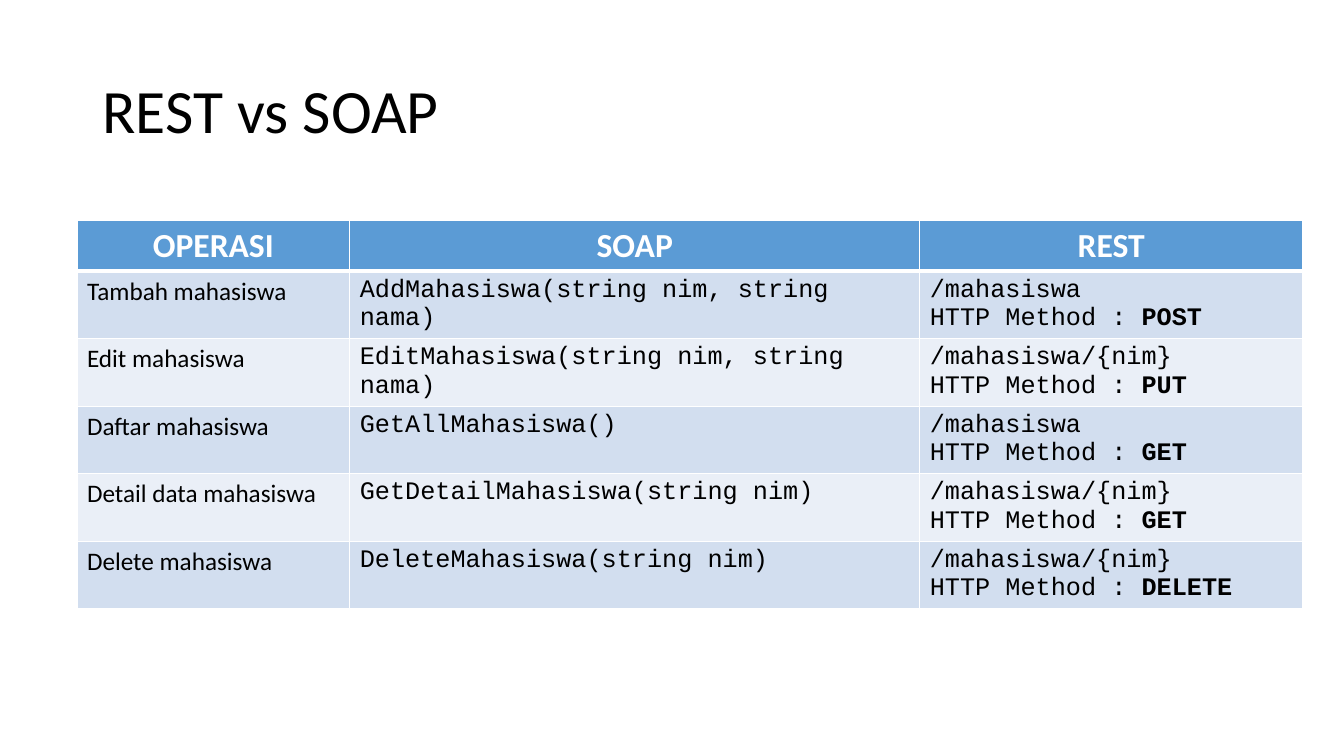
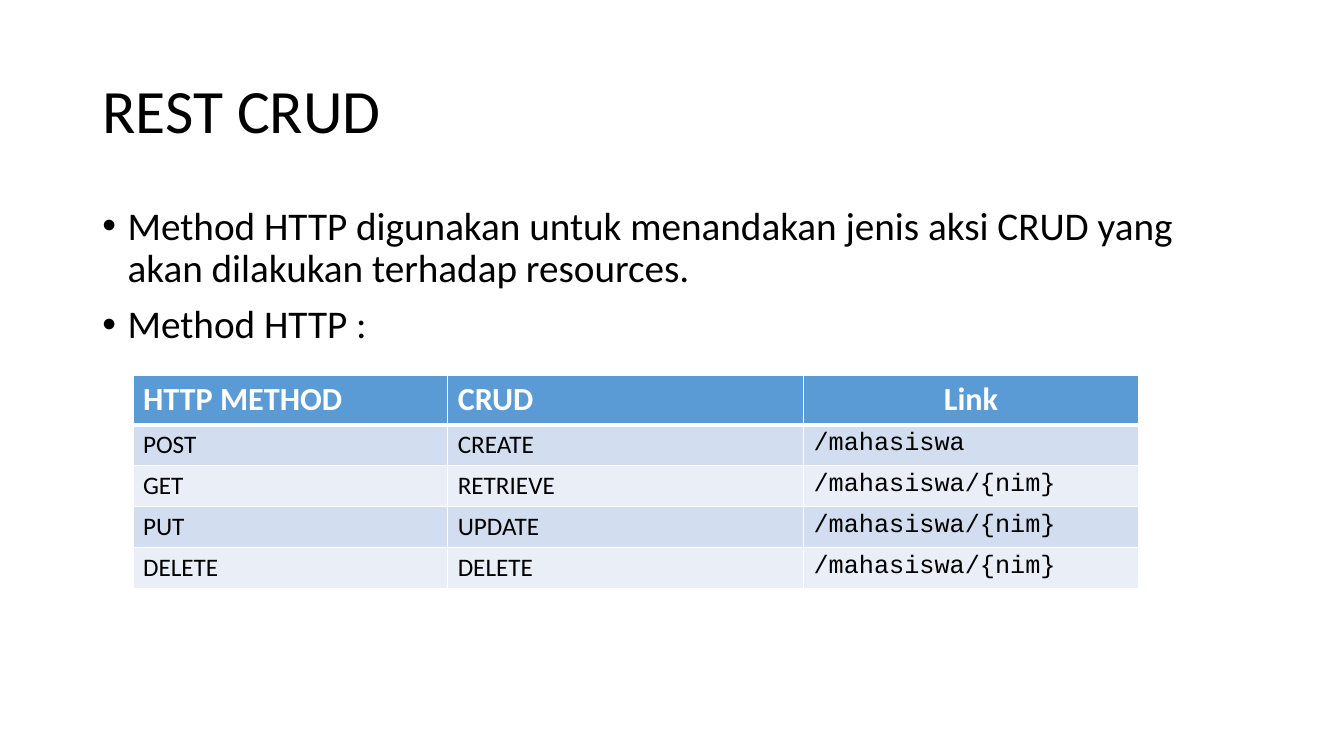
import pptx
import pptx.util
import pptx.dml.color
import pptx.enum.text
import pptx.oxml

Pt = pptx.util.Pt
RGBColor = pptx.dml.color.RGBColor
PP_ALIGN = pptx.enum.text.PP_ALIGN
MSO_ANCHOR = pptx.enum.text.MSO_ANCHOR

# Shared colours, fonts and boxes (left, top, width, height in points)
BLACK = RGBColor(0x00, 0x00, 0x00)
WHITE = RGBColor(0xFF, 0xFF, 0xFF)
BLUE = RGBColor(0x5B, 0x9B, 0xD5)
BANDS = (RGBColor(0xD2, 0xDE, 0xEF), RGBColor(0xEA, 0xEF, 0xF7))
SANS, MONO = "Calibri", "Courier New"
TITLE_BOX = (66, 28.75, 828, 104.4)
BODY_BOX = (66, 143.75, 828, 342.6)

TITLE_FONT = {"name": SANS, "size": Pt(44), "bold": False}
BODY_FONT = {"name": SANS, "size": Pt(28), "bold": False}
CELL_FONT = {"name": SANS, "size": Pt(18), "bold": False}
CODE_FONT = {**CELL_FONT, "name": MONO}
HEAD_FONT = {"name": SANS, "bold": True}
TITLE_PARA = {"alignment": PP_ALIGN.LEFT, "line_spacing": 0.9}
BODY_PARA = {"alignment": PP_ALIGN.LEFT, "line_spacing": 0.9,
             "space_before": Pt(10)}


def apply(obj, values):
    for name, value in values.items():
        setattr(obj, name, value)


def add_run(p, text, font, color):
    r = p.add_run()
    r.text = text
    apply(r.font, font)
    r.font.color.rgb = color


def place(sp, box, anchor):
    names = ("left", "top", "width", "height")
    apply(sp, dict(zip(names, map(Pt, box))))
    apply(sp.text_frame, {"word_wrap": True, "vertical_anchor": anchor,
                          "auto_size": pptx.enum.text.MSO_AUTO_SIZE.NONE})


def add_title(slide, text, box):
    sp = slide.shapes.title
    place(sp, box, MSO_ANCHOR.MIDDLE)
    p = sp.text_frame.paragraphs[0]
    apply(p, TITLE_PARA)
    add_run(p, text, TITLE_FONT, BLACK)


def add_bullets(slide, items, box):
    sp = slide.placeholders[1]
    place(sp, box, MSO_ANCHOR.TOP)
    tf = sp.text_frame
    for i, item in enumerate(items):
        p = tf.add_paragraph() if i else tf.paragraphs[0]
        apply(p, BODY_PARA)
        pPr = p._p.get_or_add_pPr()
        pPr.set("marL", str(Pt(18)))
        pPr.set("indent", str(-Pt(18)))
        add_run(p, item, BODY_FONT, BLACK)


def set_borders(cell, widths):
    # Cell lines come before the fill in the cell properties
    tcPr = cell._tc.get_or_add_tcPr()
    for i, (side, width) in enumerate(widths.items()):
        tcPr.insert(i, pptx.oxml.parse_xml(
            '<a:ln%s xmlns:a="http://schemas.openxmlformats.org/drawingml/2006/main"'
            ' w="%d"><a:solidFill><a:srgbClr val="%s"/></a:solidFill></a:ln%s>'
            % (side, Pt(width), WHITE, side)))


def fill_cell(cell, lines, font, color, fill, align):
    """Each line is a list of (text, bold) parts."""
    tf = cell.text_frame
    for i, line in enumerate(lines):
        p = tf.add_paragraph() if i else tf.paragraphs[0]
        p.alignment = align
        for text, bold in line:
            add_run(p, text, {**font, "bold": bold}, color)
    cell.fill.solid()
    cell.fill.fore_color.rgb = fill


def add_grid(slide, left, top, widths, heights, head, head_size, aligns, fonts, rows):
    """Table with a blue header; heights are (header row, body row)."""
    row_heights = [heights[0]] + [heights[1]] * len(rows)
    frame = slide.shapes.add_table(len(row_heights), len(widths), Pt(left), Pt(top),
                                   Pt(sum(widths)), Pt(sum(row_heights)))
    table = frame.table
    table.horz_banding = False
    for column, width in zip(table.columns, widths):
        column.width = Pt(width)
    for row, height in zip(table.rows, row_heights):
        row.height = Pt(height)

    # Header row
    head_font = {**HEAD_FONT, "size": Pt(head_size)}
    for c, text in enumerate(head):
        cell = table.cell(0, c)
        fill_cell(cell, [[(text, True)]], head_font, WHITE, BLUE, aligns[c])
        set_borders(cell, {"L": 1, "R": 1, "T": 1, "B": 3})

    # Body rows in alternating bands
    for n, row in enumerate(rows):
        for c, content in enumerate(row):
            cell = table.cell(n + 1, c)
            lines = [[(content, False)]] if isinstance(content, str) else content
            fill_cell(cell, lines, fonts[c], BLACK, BANDS[n % 2], PP_ALIGN.LEFT)
            set_borders(cell, {"L": 1, "R": 1, "T": 1 if n else 3, "B": 1})


def endpoint(link, method):
    return [[(link, False)], [("HTTP Method : ", False), (method, True)]]


def add_comparison_slide(prs):
    slide = prs.slides.add_slide(prs.slide_layouts[5])
    add_title(slide, "REST vs SOAP", TITLE_BOX)
    add_grid(
        slide, 55, 157.25, (194.8, 407.2, 273.6), (35.4, 48.2),
        ("OPERASI", "SOAP", "REST"), 24, [PP_ALIGN.CENTER] * 3,
        (CELL_FONT, CODE_FONT, CODE_FONT),
        [("Tambah mahasiswa", "AddMahasiswa(string nim, string nama)",
          endpoint(ALL_LINK, "POST")),
         ("Edit mahasiswa", "EditMahasiswa(string nim, string nama)",
          endpoint(ONE_LINK, "PUT")),
         ("Daftar mahasiswa", "GetAllMahasiswa()", endpoint(ALL_LINK, "GET")),
         ("Detail data mahasiswa", "GetDetailMahasiswa(string nim)",
          endpoint(ONE_LINK, "GET")),
         ("Delete mahasiswa", "DeleteMahasiswa(string nim)",
          endpoint(ONE_LINK, "DELETE"))])


def add_crud_slide(prs):
    slide = prs.slides.add_slide(prs.slide_layouts[1])
    add_title(slide, "REST CRUD", TITLE_BOX)
    add_bullets(slide, [
        "Method HTTP digunakan untuk menandakan jenis aksi CRUD yang akan "
        "dilakukan terhadap resources.",
        "Method HTTP :"], BODY_BOX)
    add_grid(
        slide, 95, 268, (224.8, 254.2, 239.4), (35, 29.2),
        ("HTTP METHOD", "CRUD", "Link"), 23,
        (PP_ALIGN.LEFT, PP_ALIGN.LEFT, PP_ALIGN.CENTER),
        (CELL_FONT, CELL_FONT, CODE_FONT),
        [("POST", "CREATE", ALL_LINK),
         ("GET", "RETRIEVE", ONE_LINK),
         ("PUT", "UPDATE", ONE_LINK),
         ("DELETE", "DELETE", ONE_LINK)])


ALL_LINK, ONE_LINK = "/mahasiswa", "/mahasiswa/{nim}"

prs = pptx.Presentation()
prs.slide_width, prs.slide_height = Pt(960), Pt(540)
add_comparison_slide(prs)
add_crud_slide(prs)
prs.save("out.pptx")
